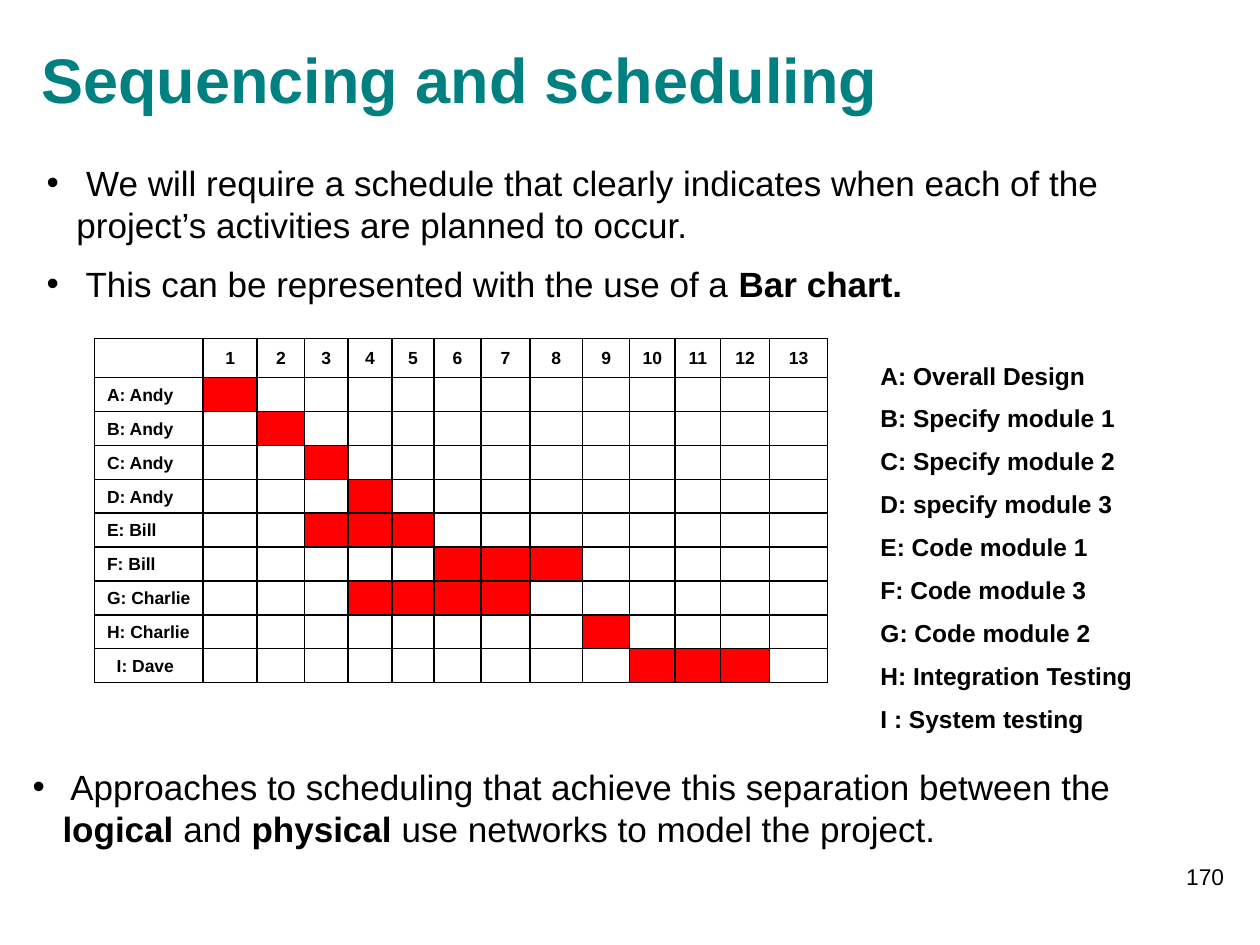
from dataclasses import dataclass

from lxml.etree import SubElement
from pptx import Presentation
from pptx.dml.color import RGBColor
from pptx.enum.text import MSO_ANCHOR as Anchor, MSO_AUTO_SIZE as AutoSize, PP_ALIGN as Align
from pptx.oxml.ns import qn
from pptx.util import Pt

BLACK = RGBColor(0, 0, 0)
TEAL = RGBColor(0, 128, 128)
RED = RGBColor(255, 0, 0)
FONT = "Arial"

COLUMN_WIDTHS = [62, 31, 27, 25, 25, 24, 27, 28, 30, 27, 26, 26, 28, 33]
HEADER_HEIGHT = 22.3
ROW_HEIGHT = 19.3
CELL_MARGIN = 7.2


@dataclass(frozen=True)
class Box:
    left: float
    top: float
    width: float
    height: float

    def lengths(self) -> tuple:
        return Pt(self.left), Pt(self.top), Pt(self.width), Pt(self.height)


@dataclass(frozen=True)
class Activity:
    label: str
    first_week: int
    last_week: int
    indent: float = 0


ACTIVITIES = [
    Activity("A: Andy", 1, 1),
    Activity("B: Andy", 2, 2),
    Activity("C: Andy", 3, 3),
    Activity("D: Andy", 4, 4),
    Activity("E: Bill", 3, 5),
    Activity("F: Bill", 6, 8),
    Activity("G: Charlie", 4, 7),
    Activity("H: Charlie", 9, 9),
    Activity("I: Dave", 10, 12, indent=5.5),
]

LEGEND = [
    "A: Overall Design",
    "B: Specify module 1",
    "C: Specify module 2",
    "D: specify module 3",
    "E: Code module 1",
    "F: Code module 3",
    "G: Code module 2",
    "H: Integration Testing",
    "I : System testing",
]

INTRODUCTION = [
    " We will require a schedule that clearly indicates when each of the "
    "project’s activities are planned to occur.",
    " This can be represented with the use of a **Bar chart.**",
]

CONCLUSION = [
    " Approaches to scheduling that achieve this separation between the "
    "**logical** and **physical** use networks to model the project.",
]


def write_text(frame, lines: list[str], *, size: float, color=BLACK, bold=False,
               align=Align.LEFT, gap: float = 0, line_height: float | None = None,
               hanging: float = 0) -> None:
    for index, line in enumerate(lines):
        paragraph = frame.paragraphs[0] if index == 0 else frame.add_paragraph()
        paragraph.alignment = align
        paragraph.space_before = Pt(gap if index else 0)
        if line_height:
            paragraph.line_spacing = Pt(line_height)
        if hanging:
            properties = paragraph._p.get_or_add_pPr()
            properties.set("marL", str(Pt(hanging)))
            properties.set("indent", str(-Pt(hanging)))
            SubElement(properties, qn("a:buFont"), typeface=FONT)
            SubElement(properties, qn("a:buChar"), char="•")
        for part, text in enumerate(line.split("**")):
            if text:
                run = paragraph.add_run()
                run.text = text
                run.font.name = FONT
                run.font.size = Pt(size)
                run.font.bold = bold or part % 2 == 1
                run.font.color.rgb = color


def fill_placeholder(shape, box: Box, lines: list[str], *, anchor=Anchor.TOP, **text_format) -> None:
    shape.left, shape.top, shape.width, shape.height = box.lengths()
    frame = shape.text_frame
    frame.auto_size = AutoSize.NONE
    frame.word_wrap = True
    frame.vertical_anchor = anchor
    write_text(frame, lines, **text_format)


def add_text(slide, box: Box, lines: list[str], **text_format) -> None:
    frame = slide.shapes.add_textbox(*box.lengths()).text_frame
    frame.word_wrap = True
    write_text(frame, lines, **text_format)


def add_borders(cell) -> None:
    properties = cell._tc.get_or_add_tcPr()
    for position, side in enumerate(("lnL", "lnR", "lnT", "lnB")):
        line = properties.makeelement(qn(f"a:{side}"), {"w": str(Pt(1))})
        fill = SubElement(line, qn("a:solidFill"))
        SubElement(fill, qn("a:srgbClr"), val=str(BLACK))
        properties.insert(position, line)


def format_cell(cell, text: str = "", *, filled=False, anchor=Anchor.MIDDLE,
                align=Align.CENTER, left_margin: float = 0) -> None:
    cell.margin_left, cell.margin_right = Pt(left_margin), 0
    cell.margin_top = cell.margin_bottom = Pt(3.6)
    cell.vertical_anchor = anchor
    if filled:
        cell.fill.solid()
        cell.fill.fore_color.rgb = RED
    else:
        cell.fill.background()
    write_text(cell.text_frame, [text], size=10, bold=True, align=align)
    if not text:
        SubElement(cell.text_frame.paragraphs[0]._p, qn("a:endParaRPr"), sz="1000")
    add_borders(cell)


def add_schedule(slide, left: float, top: float) -> None:
    weeks = range(1, len(COLUMN_WIDTHS))
    box = Box(left, top, sum(COLUMN_WIDTHS), HEADER_HEIGHT + ROW_HEIGHT * len(ACTIVITIES))
    table = slide.shapes.add_table(len(ACTIVITIES) + 1, len(COLUMN_WIDTHS), *box.lengths()).table
    table.first_row = table.horz_banding = False
    for column, width in zip(table.columns, COLUMN_WIDTHS):
        column.width = Pt(width)
    for index, row in enumerate(table.rows):
        row.height = Pt(ROW_HEIGHT if index else HEADER_HEIGHT)

    format_cell(table.cell(0, 0))
    for week in weeks:
        format_cell(table.cell(0, week), str(week))
    for row, activity in enumerate(ACTIVITIES, start=1):
        format_cell(table.cell(row, 0), activity.label, anchor=Anchor.BOTTOM,
                    align=Align.LEFT, left_margin=CELL_MARGIN + activity.indent)
        for week in weeks:
            format_cell(table.cell(row, week),
                        filled=activity.first_week <= week <= activity.last_week)


def main() -> None:
    presentation = Presentation()
    presentation.slide_width, presentation.slide_height = Pt(720), Pt(540)
    slide = presentation.slides.add_slide(presentation.slide_layouts[3])
    title, introduction, conclusion = slide.placeholders

    fill_placeholder(title, Box(16.5, 11, 578, 67), ["Sequencing and scheduling"],
                     anchor=Anchor.MIDDLE, size=36, color=TEAL, bold=True)
    list_format = dict(size=20, gap=10, line_height=24, hanging=17)
    fill_placeholder(introduction, Box(19.5, 88.5, 635, 91.5), INTRODUCTION, **list_format)
    add_schedule(slide, 54, 193.5)
    add_text(slide, Box(496, 202.5, 209.5, 224.5), LEGEND, size=14, bold=True, gap=7.7)
    fill_placeholder(conclusion, Box(11.5, 434, 695, 55.5), CONCLUSION, **list_format)
    add_text(slide, Box(556.5, 489.5, 150, 36), ["170"], size=13, align=Align.RIGHT)
    presentation.save("out.pptx")


if __name__ == "__main__":
    main()
